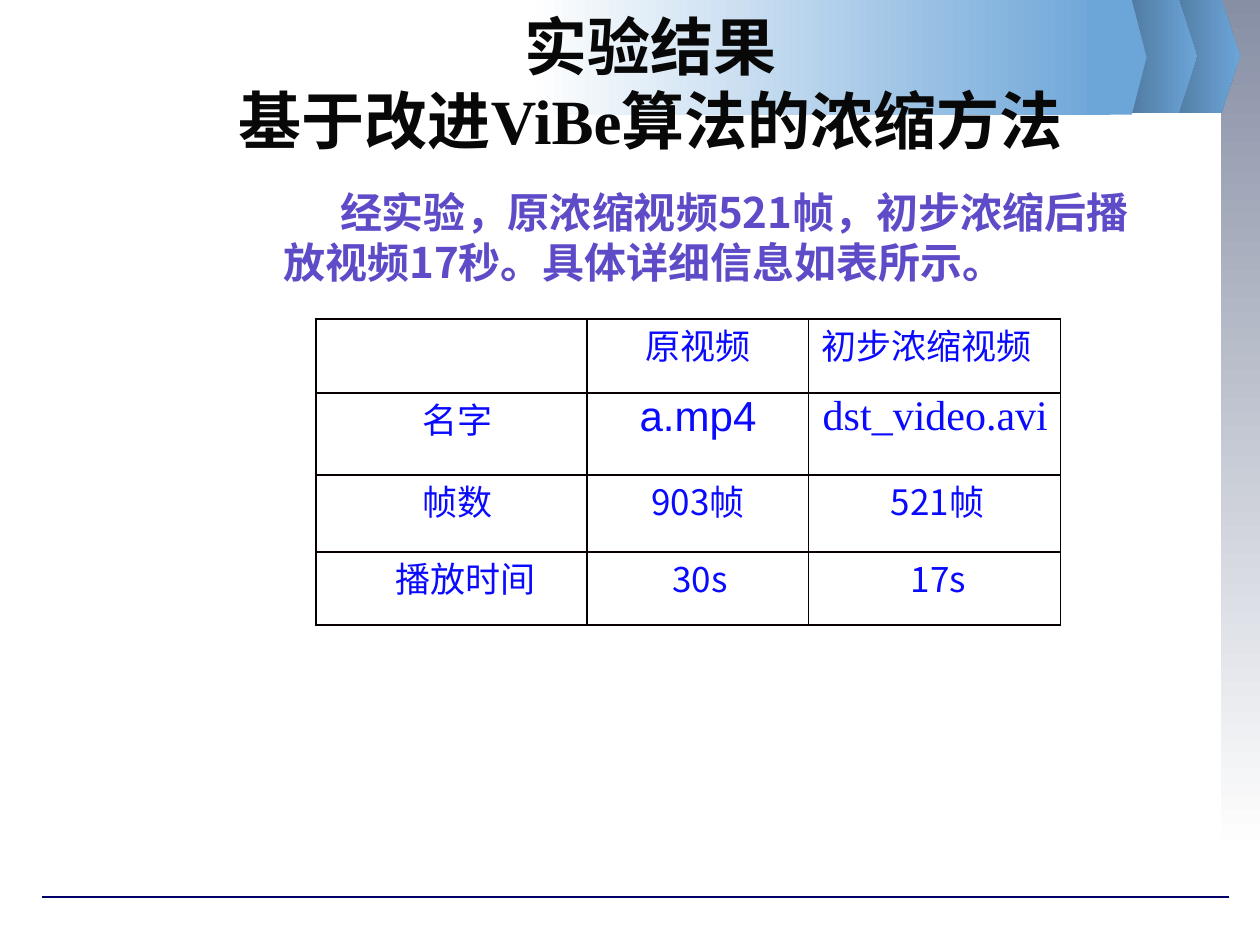
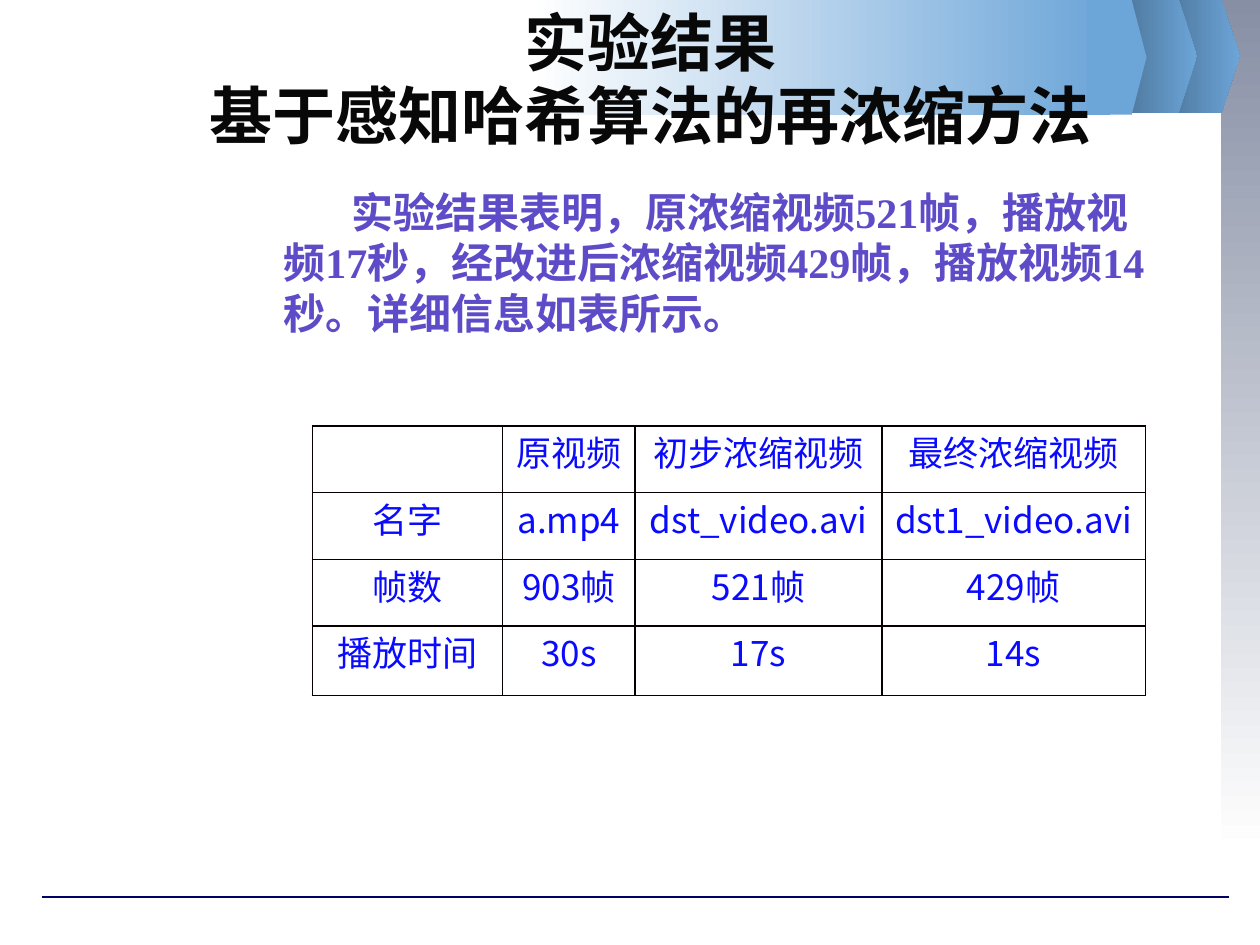
from pptx import Presentation
from pptx.dml.color import RGBColor
from pptx.enum import shapes, text
from pptx.oxml import parse_xml
from pptx.oxml.ns import nsdecls, qn
from pptx.util import Inches, Pt

"""Build two slides of video condensation results."""

INK = RGBColor(0x08, 0x08, 0x08)
VIOLET = RGBColor(0x5D, 0x4B, 0xC7)
BLUE = RGBColor(0x0A, 0x0A, 0xFF)
NAVY = RGBColor(0x00, 0x00, 0x66)
GREY = RGBColor(0x87, 0x8F, 0xA5)
STEEL = RGBColor(0x4D, 0x76, 0x9B)
SKY = RGBColor(0x6C, 0xA5, 0xD8)
WHITE = RGBColor(0xFF, 0xFF, 0xFF)
EDGE = "080000"

SANS, SERIF, ARIAL = "Noto Sans CJK SC", "Times New Roman", "Arial"
LEFT, MID = text.PP_ALIGN.LEFT, text.PP_ALIGN.CENTER
RECT, ARROW = shapes.MSO_SHAPE.RECTANGLE, shapes.MSO_SHAPE.PENTAGON

BANDS = [
    (RECT, (9.69, 0, 0.31, 6.77), (GREY, WHITE), 270),
    (ARROW, (9.25, -0.01, 0.59, 0.91), (STEEL, SKY), 0),
    (ARROW, (8.91, -0.01, 0.59, 0.91), (STEEL, SKY), 0),
    (RECT, (4.21, 0, 4.6, 0.91), (WHITE, SKY), 0),
    (ARROW, (8.63, 0, 0.47, 0.91), (SKY,), 0),
]
RULE = (0.33, 7.12, 9.75, 7.12)

SLIDES = [
    {
        "title": "实验结果\v基于改进ViBe算法的浓缩方法",
        "high": 1.14,
        "body": "经实验，原浓缩视频521帧，初步浓缩后播放视频17秒。具体详细信息如表所示。",
        "font": SANS,
        "indent": 0.45,
        "at": (2.51, 2.53),
        "cols": (2.15, 1.76, 2),
        "rows": (0.59, 0.65, 0.61, 0.58),
        "cells": [
            ("", "原视频", "初步浓缩视频"),
            ("名字", "a.mp4", "dst_video.avi"),
            ("帧数", "903帧", "521帧"),
            ("播放时间", "30s", "17s"),
        ],
        "pads": {(0, 2): 0.1, (1, 0): 0.1, (1, 2): 0.11, (2, 0): 0.1,
                 (2, 2): 0.04, (3, 0): 0.22, (3, 1): 0.03, (3, 2): 0.06},
        "looks": {(0, 2): (SANS, 20, LEFT), (1, 1): (ARIAL, 24, MID),
                  (1, 2): (SERIF, 24, LEFT)},
    },
    {
        "title": "实验结果\v基于感知哈希算法的再浓缩方法",
        "high": 1.07,
        "body": "实验结果表明，原浓缩视频521帧，播放视频17秒，经改进后浓缩视频429帧，"
                "播放视频14秒。详细信息如表所示。",
        "font": SERIF,
        "indent": 0.54,
        "at": (2.48, 3.38),
        "cols": (1.51, 1.05, 1.96, 2.09),
        "rows": (0.53, 0.53, 0.53, 0.55),
        "cells": [
            ("", "原视频", "初步浓缩视频", "最终浓缩视频"),
            ("名字", "a.mp4", "dst_video.avi", "dst1_video.avi"),
            ("帧数", "903帧", "521帧", "429帧"),
            ("播放时间", "30s", "17s", "14s"),
        ],
        "pads": {},
        "looks": {},
    },
]


def box(*sizes):
    """Turn inch numbers into lengths."""
    return [Inches(n) for n in sizes]


def style(para, font, size, color, bold=False):
    """Format all runs of a paragraph."""
    for run in para.runs:
        run.font.size, run.font.bold = Pt(size), bold
        run.font.color.rgb = color
        run.font.name = font
        face = parse_xml(f'<a:ea {nsdecls("a")} typeface="{SANS}"/>')
        run.font.element.append(face) if hasattr(run.font, "element") else \
            run._r.get_or_add_rPr().append(face)


def paint(fill, colors, angle):
    """Fill with one colour or a gradient of two."""
    if len(colors) == 1:
        fill.solid()
        fill.fore_color.rgb = colors[0]
        return
    fill.gradient()
    fill.gradient_angle = angle
    for stop, color in zip(fill.gradient_stops, colors):
        stop.color.rgb = color


def dress(layout, slide):
    """Draw the bands and rule, then hand them to the layout."""
    parts = []
    for kind, place, colors, angle in BANDS:
        band = slide.shapes.add_shape(kind, *box(*place))
        if kind == ARROW:
            band.adjustments[0] = 0.25
        paint(band.fill, colors, angle)
        band.line.fill.background()
        band.shadow.inherit = False
        parts.append(band)
    rule = slide.shapes.add_connector(shapes.MSO_CONNECTOR.STRAIGHT, *box(*RULE))
    rule.line.color.rgb, rule.line.width = NAVY, Pt(0.75)
    rule.element.spPr.append(parse_xml(f'<a:effectLst {nsdecls("a")}/>'))
    parts.append(rule)
    for num, part in enumerate(parts, 20):
        part.element.xpath(".//p:cNvPr")[0].set("id", str(num))
        layout.shapes.element.append(part.element)


def head(slide, data):
    """Place and format the title."""
    title = slide.shapes.title
    title.left, title.top, title.width, title.height = box(1.25, 0.05, 7.83, data["high"])
    frame = title.text_frame
    frame.text = data["title"]
    frame.auto_size = text.MSO_AUTO_SIZE.NONE
    frame.vertical_anchor = text.MSO_ANCHOR.MIDDLE
    frame.margin_top, frame.margin_bottom = box(0.13, 0.05)
    para = frame.paragraphs[0]
    para.alignment, para.line_spacing = MID, Pt(42)
    style(para, SERIF, 36, INK, True)


def prose(slide, data):
    """Add the summary paragraph."""
    frame = slide.shapes.add_textbox(*box(2.15, 1.43, 7.21, 5.31)).text_frame
    frame.word_wrap = True
    frame.text = data["body"]
    para = frame.paragraphs[0]
    para.line_spacing, para.space_before = Pt(28.8), Pt(3)
    para._p.get_or_add_pPr().set("indent", str(Inches(data["indent"])))
    style(para, data["font"], 24, VIOLET, True)


def edge(cell, col):
    """Draw the four borders of a cell."""
    widths = {"L": 0.75 if col > 1 else 1, "R": 0.75 if col else 1, "T": 1, "B": 1}
    for side, width in widths.items():
        cell._tc.get_or_add_tcPr().append(parse_xml(
            f'<a:ln{side} {nsdecls("a")} w="{Pt(width)}"><a:solidFill>'
            f'<a:srgbClr val="{EDGE}"/></a:solidFill></a:ln{side}>'))


def grid(slide, data):
    """Add the table of video figures."""
    cols, rows = data["cols"], data["rows"]
    table = slide.shapes.add_table(
        len(rows), len(cols), *box(*data["at"], sum(cols), sum(rows))).table
    table.first_row = table.horz_banding = False
    for col, width in zip(table.columns, cols):
        col.width = Inches(width)
    for r, line in enumerate(data["cells"]):
        table.rows[r].height = Inches(rows[r])
        for c, words in enumerate(line):
            cell = table.cell(r, c)
            cell.margin_right = cell.margin_top = cell.margin_bottom = 0
            cell.margin_left = Inches(data["pads"].get((r, c), 0))
            edge(cell, c)
            cell.fill.background()
            cell.text_frame.text = words
            font, size, align = data["looks"].get((r, c), (SANS, 20, MID))
            para = cell.text_frame.paragraphs[0]
            para.alignment = align
            style(para, font, size, BLUE)


def main():
    """Build and save the deck."""
    deck = Presentation()
    deck.slide_width, deck.slide_height = box(10, 7.5)
    layout = deck.slide_layouts[5]
    for num, data in enumerate(SLIDES):
        slide = deck.slides.add_slide(layout)
        if num == 0:
            dress(layout, slide)
        head(slide, data)
        prose(slide, data)
        grid(slide, data)
    deck.save("out.pptx")


if __name__ == "__main__":
    main()
